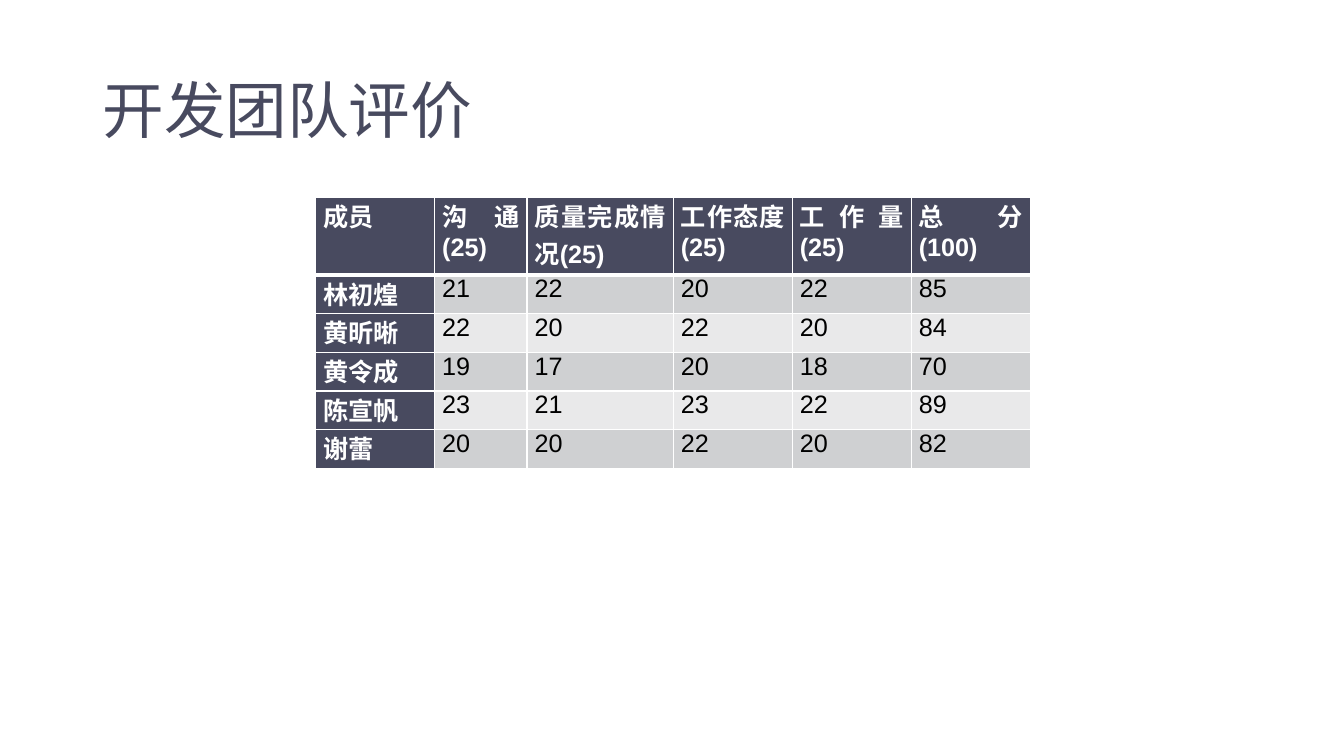
from lxml.etree import SubElement
from pptx import Presentation
from pptx.dml.color import RGBColor
from pptx.enum.text import MSO_ANCHOR, MSO_AUTO_SIZE, PP_ALIGN
from pptx.oxml.ns import qn
from pptx.util import Pt

NAVY, WHITE, BLACK = "484A5F", "FFFFFF", "000000"
BANDS = ("CFD0D2", "E9E9EA")
COLUMN_WIDTHS = (85, 66, 104.5, 85, 85, 85)
HEADER_HEIGHT, MEMBER_HEIGHT = 55.3, 27.65
RATINGS = (
    ("成员", "沟通(25)", "质量完成情况(25)", "工作态度(25)", "工作量(25)", "总分(100)"),
    ("林初煌", 21, 22, 20, 22, 85),
    ("黄昕晰", 22, 20, 22, 20, 84),
    ("黄令成", 19, 17, 20, 18, 70),
    ("陈宣帆", 23, 21, 23, 22, 89),
    ("谢蕾", 20, 20, 22, 20, 82),
)


def color(code):
    """Turn a hex string into a colour."""
    return RGBColor.from_string(code)


def apply(target, values):
    """Set each attribute of the target from a dict."""
    for name, value in values.items():
        setattr(target, name, value)


def format_text(frame, text, ink, font, paragraph):
    """Write one formatted paragraph into a text frame."""
    frame.text = text
    line = frame.paragraphs[0]
    apply(line, paragraph)
    run_font = line.runs[0].font
    apply(run_font, {"name": "Arial", **font})
    run_font.color.rgb = color(ink)


def add_title(slide, text):
    """Place and format the slide title."""
    title = slide.shapes.title
    apply(title, {"left": Pt(66), "top": Pt(28.75), "width": Pt(828), "height": Pt(104.4)})
    format_text(title.text_frame, text, NAVY, {"size": Pt(44)},
                {"alignment": PP_ALIGN.LEFT, "line_spacing": 0.9})
    apply(title.text_frame, {"vertical_anchor": MSO_ANCHOR.MIDDLE,
                             "auto_size": MSO_AUTO_SIZE.NONE, "word_wrap": True})


def add_borders(cell, widths):
    """Draw white cell borders with the given width for each side."""
    properties = cell._tc.get_or_add_tcPr()
    for side, width in widths.items():
        border = SubElement(properties, qn(f"a:ln{side}"), w=str(Pt(width)))
        SubElement(SubElement(border, qn("a:solidFill")), qn("a:srgbClr"), val=WHITE)


def format_cell(cell, value, row, column):
    """Fill one rating cell, styled by its row and column."""
    heading = row == 0 or column == 0
    apply(cell, {"margin_left": Pt(5.4), "margin_right": Pt(5.4),
                 "margin_top": 0, "margin_bottom": 0})
    add_borders(cell, {"L": 1, "R": 1, "T": 3 if row == 1 else 1, "B": 3 if row == 0 else 1})
    cell.fill.solid()
    cell.fill.fore_color.rgb = color(NAVY if heading else BANDS[(row - 1) % 2])
    format_text(cell.text_frame, str(value), WHITE if heading else BLACK,
                {"size": Pt(18), "bold": heading}, {"alignment": PP_ALIGN.JUSTIFY})


def add_ratings(slide):
    """Add the table of team ratings."""
    heights = [HEADER_HEIGHT] + [MEMBER_HEIGHT] * (len(RATINGS) - 1)
    ratings = slide.shapes.add_table(len(RATINGS), len(COLUMN_WIDTHS), Pt(225.5), Pt(141.1),
                                     Pt(sum(COLUMN_WIDTHS)), Pt(sum(heights))).table
    for column, width in zip(ratings.columns, COLUMN_WIDTHS):
        column.width = Pt(width)
    for row, (height, values) in enumerate(zip(heights, RATINGS)):
        ratings.rows[row].height = Pt(height)
        for column, value in enumerate(values):
            format_cell(ratings.cell(row, column), value, row, column)


def main():
    """Build and save the team rating slide."""
    deck = Presentation()
    apply(deck, {"slide_width": Pt(960), "slide_height": Pt(540)})
    slide = deck.slides.add_slide(deck.slide_layouts[5])
    add_title(slide, "开发团队评价")
    add_ratings(slide)
    deck.save("out.pptx")


main()
